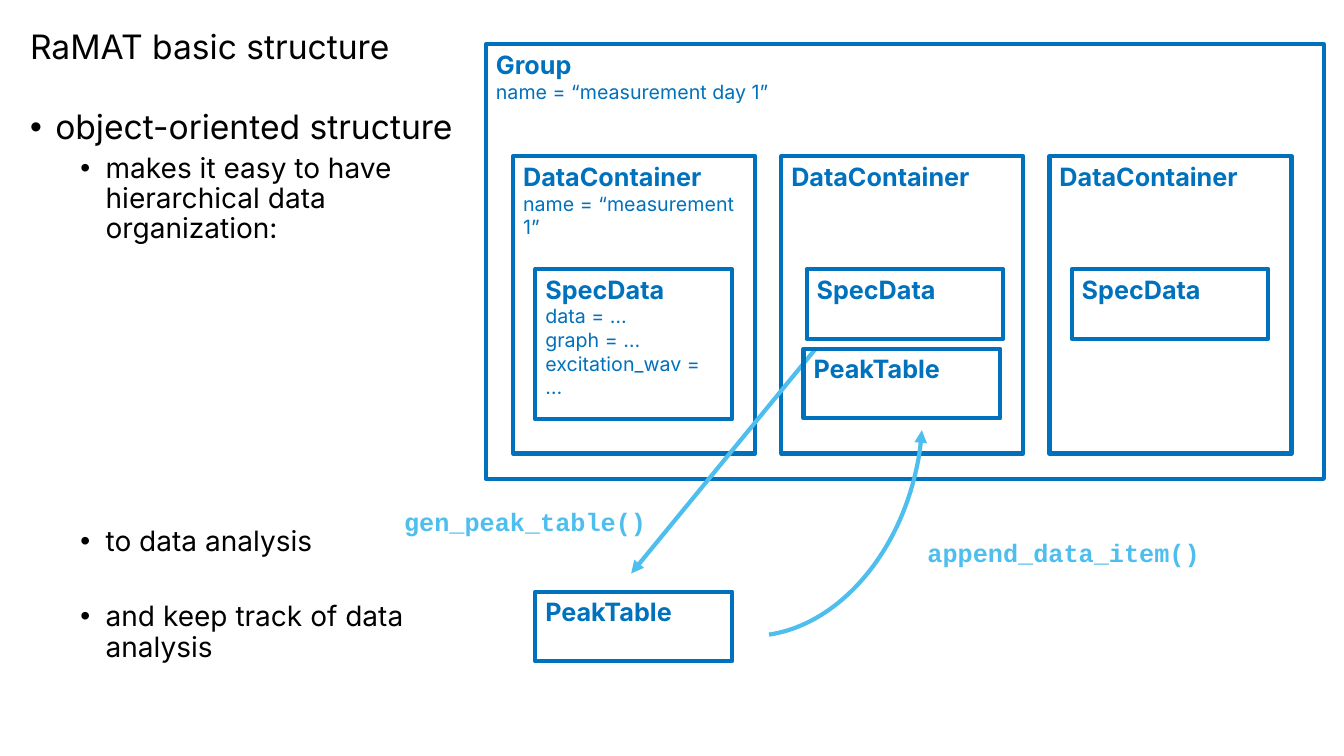
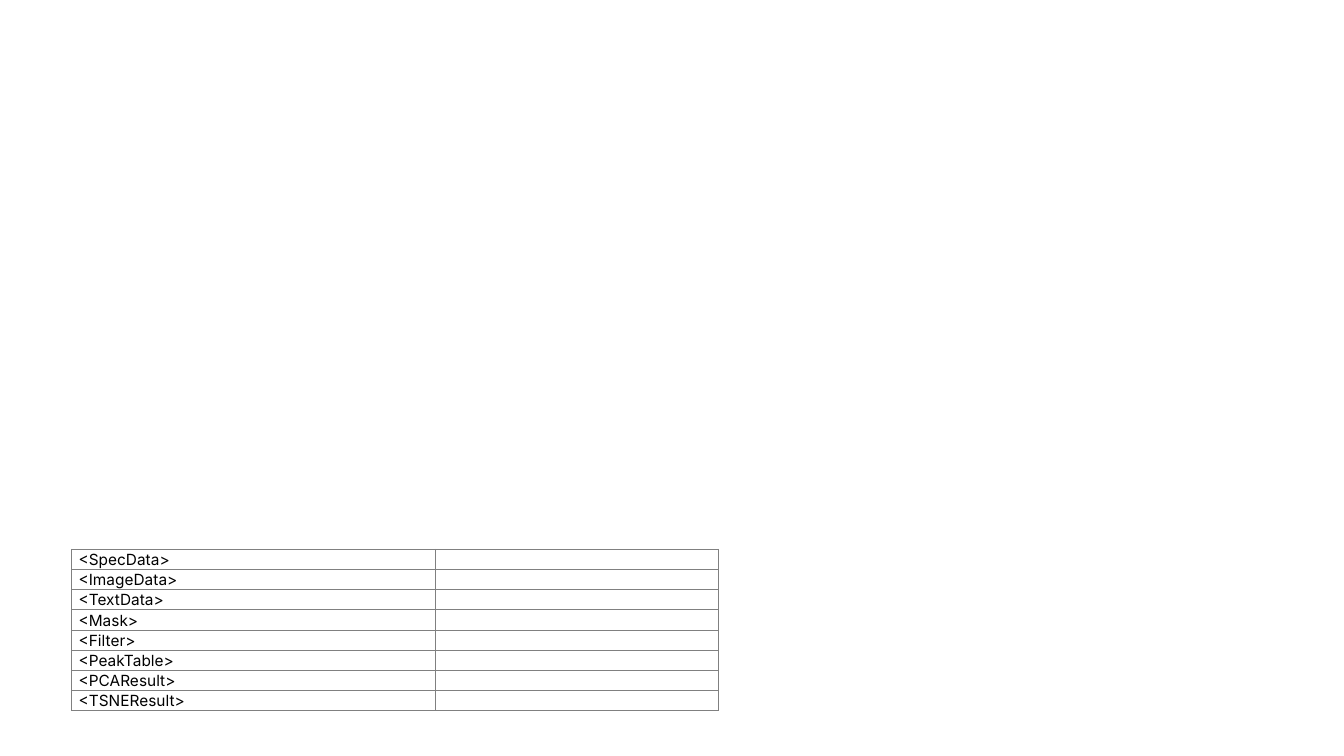
from lxml.etree import SubElement
from pptx import Presentation
from pptx.dml.color import RGBColor
from pptx.enum.shapes import MSO_CONNECTOR, MSO_SHAPE
from pptx.enum.text import MSO_ANCHOR, PP_ALIGN
from pptx.oxml.ns import qn
from pptx.util import Inches, Pt

BLACK = RGBColor(0x00, 0x00, 0x00)
GRAY = RGBColor(0x80, 0x80, 0x80)
BLUE = RGBColor(0x00, 0x71, 0xBD)
LIGHT_BLUE = RGBColor(0x4D, 0xBE, 0xEE)

TEXT_FONT = "Inter"
CODE_FONT = "Courier New"
LINE_WIDTH = Pt(3)

TITLE_FONT = {"name": TEXT_FONT, "size": Pt(24), "color": BLACK}
BULLET_FONTS = [TITLE_FONT, {**TITLE_FONT, "size": Pt(20)}]
BULLET_MARGINS = [0.25, 0.75]
BULLET_HANG = 0.25
CLASS_FONT = {"name": TEXT_FONT, "size": Pt(18), "bold": True, "color": BLUE}
FIELD_FONT = {"name": TEXT_FONT, "size": Pt(14), "bold": False, "color": BLUE}
METHOD_FONT = {**CLASS_FONT, "name": CODE_FONT, "color": LIGHT_BLUE}
CELL_FONT = {"name": TEXT_FONT, "size": Pt(11), "color": BLACK}

# Level, text, space before in points
BULLETS = [
    (0, "object-oriented structure", 10),
    (1, "makes it easy to have hierarchical data organization:", 5),
    (1, "to data analysis", 202),
    (1, "and keep track of data analysis", 32),
]

CONTAINER_LEFT, CONTAINER_STEP = 5.09, 2.66
ITEM_WIDTH, ITEM_HEIGHT = 1.95, 0.69
# Fields of the container, offset of its SpecData, height and fields of that SpecData
CONTAINERS = [
    (["name = “measurement 1”"], 0.22, 1.49, ["data = …", "graph = …", "excitation_wav = …"]),
    ([], 0.25, ITEM_HEIGHT, []),
    ([], 0.22, ITEM_HEIGHT, []),
]

TABLE_ROWS = ["<SpecData>", "<ImageData>", "<TextData>", "<Mask>",
              "<Filter>", "<PeakTable>", "<PCAResult>", "<TSNEResult>"]
COLUMN_WIDTHS = [3.61, 2.81]
ROW_HEIGHT = 0.2


def set_attributes(target, formats):
    for name, value in formats.items():
        setattr(target, name, value)


def add_run(paragraph, text, font_format):
    run = paragraph.add_run()
    run.text = text
    for name, value in font_format.items():
        if name == "color":
            run.font.color.rgb = value
        else:
            setattr(run.font, name, value)


def next_paragraph(text_frame, index):
    return text_frame.add_paragraph() if index else text_frame.paragraphs[0]


def add_text(slide, bounds, text, font_format, **paragraph_format):
    box = slide.shapes.add_textbox(*map(Inches, bounds))
    set_attributes(box.text_frame, {"word_wrap": True, "vertical_anchor": MSO_ANCHOR.MIDDLE})
    paragraph = box.text_frame.paragraphs[0]
    set_attributes(paragraph, paragraph_format)
    add_run(paragraph, text, font_format)


def add_bullets(slide, bounds, bullets):
    text_frame = slide.shapes.add_textbox(*map(Inches, bounds)).text_frame
    text_frame.word_wrap = True
    for index, (level, text, space_before) in enumerate(bullets):
        paragraph = next_paragraph(text_frame, index)
        set_attributes(paragraph, {"level": level, "line_spacing": 0.9,
                                   "space_before": Pt(space_before)})
        properties = paragraph._p.get_or_add_pPr()
        properties.set("marL", str(Inches(BULLET_MARGINS[level])))
        properties.set("indent", str(-Inches(BULLET_HANG)))
        SubElement(properties, qn("a:buFont"), typeface="Arial")
        SubElement(properties, qn("a:buChar"), char="•")
        add_run(paragraph, text, BULLET_FONTS[level])


def set_line(shape, color):
    set_attributes(shape.line, {"width": LINE_WIDTH})
    shape.line.color.rgb = color


def add_class_box(slide, bounds, class_name, fields=()):
    """Outlined box with a bold class name above its fields."""
    box = slide.shapes.add_shape(MSO_SHAPE.RECTANGLE, *map(Inches, bounds))
    box.shadow.inherit = False
    box.fill.background()
    set_line(box, BLUE)
    set_attributes(box.text_frame, {"word_wrap": True, "vertical_anchor": MSO_ANCHOR.TOP})
    for index, text in enumerate([class_name, *fields]):
        paragraph = next_paragraph(box.text_frame, index)
        paragraph.alignment = PP_ALIGN.LEFT
        add_run(paragraph, text, FIELD_FONT if index else CLASS_FONT)


def add_arrowhead(shape, end):
    SubElement(shape.line._get_or_add_ln(), qn(f"a:{end}"), type="triangle")


def add_arrow(slide, start, stop):
    arrow = slide.shapes.add_connector(MSO_CONNECTOR.STRAIGHT, *map(Inches, start + stop))
    set_line(arrow, LIGHT_BLUE)
    add_arrowhead(arrow, "tailEnd")
    SubElement(arrow._element.spPr, qn("a:effectLst"))


def add_arc_arrow(slide, bounds, rotation, angles):
    arc = slide.shapes.add_shape(MSO_SHAPE.ARC, *map(Inches, bounds))
    arc.rotation = rotation
    for index, angle in enumerate(angles):
        arc.adjustments[index] = angle
    arc.shadow.inherit = False
    arc.fill.background()
    set_line(arc, LIGHT_BLUE)
    add_arrowhead(arc, "headEnd")


def set_cell_borders(cell):
    properties = cell._tc.get_or_add_tcPr()
    for side in ("lnL", "lnR", "lnT", "lnB"):
        border = SubElement(properties, qn(f"a:{side}"), w=str(Pt(0.75)))
        fill = SubElement(border, qn("a:solidFill"))
        SubElement(fill, qn("a:srgbClr"), val=str(GRAY))


def add_class_table(slide, left, top, names):
    shape = slide.shapes.add_table(len(names), len(COLUMN_WIDTHS), Inches(left), Inches(top),
                                   Inches(sum(COLUMN_WIDTHS)), Inches(ROW_HEIGHT * len(names)))
    table = shape.table
    set_attributes(table, {"first_row": False, "horz_banding": False})
    for column, width in zip(table.columns, COLUMN_WIDTHS):
        column.width = Inches(width)
    for row, name in zip(table.rows, names):
        row.height = Inches(ROW_HEIGHT)
        for cell, text in zip(row.cells, (name, "")):
            set_attributes(cell, {"margin_left": Inches(0.07), "margin_right": Inches(0.07),
                                  "margin_top": 0, "margin_bottom": 0})
            set_cell_borders(cell)
            cell.fill.background()
            paragraph = cell.text_frame.paragraphs[0]
            paragraph.line_spacing = 1.07
            if text:
                add_run(paragraph, text, CELL_FONT)
            else:
                # An empty cell would otherwise stretch its row to 18 points
                SubElement(paragraph._p, qn("a:endParaRPr"), sz="1100")


def build_structure_slide(slide):
    add_text(slide, (0.2, 0.22, 11.5, 0.53), "RaMAT basic structure", TITLE_FONT,
             line_spacing=0.9)
    add_bullets(slide, (0.2, 1.05, 4.54, 6.23), BULLETS)

    add_class_box(slide, (4.82, 0.44, 8.31, 4.31), "Group", ["name = “measurement day 1”"])
    for index, (fields, offset, height, data_fields) in enumerate(CONTAINERS):
        left = CONTAINER_LEFT + index * CONTAINER_STEP
        add_class_box(slide, (left, 1.55, 2.4, 2.95), "DataContainer", fields)
        add_class_box(slide, (left + offset, 2.67, ITEM_WIDTH, height), "SpecData", data_fields)

    add_arrow(slide, (8.09, 3.46), (6.26, 5.69))
    for left, top in ((5.31, 5.87), (7.97, 3.46)):
        add_class_box(slide, (left, top, ITEM_WIDTH, ITEM_HEIGHT), "PeakTable")
    add_arc_arrow(slide, (5.67, 2.88, 3.96, 2.94), 102.6, (152.55, 208.84))
    add_text(slide, (3.91, 4.97, 2.9, 0.4), "gen_peak_table()", METHOD_FONT)
    add_text(slide, (9.1, 5.28, 2.9, 0.4), "append_data_item()", METHOD_FONT)


def main():
    presentation = Presentation()
    set_attributes(presentation, {"slide_width": Inches(13.33), "slide_height": Inches(7.5)})
    blank_layout = presentation.slide_layouts[6]
    build_structure_slide(presentation.slides.add_slide(blank_layout))
    add_class_table(presentation.slides.add_slide(blank_layout), 0.71, 5.45, TABLE_ROWS)
    presentation.save("out.pptx")


if __name__ == "__main__":
    main()
